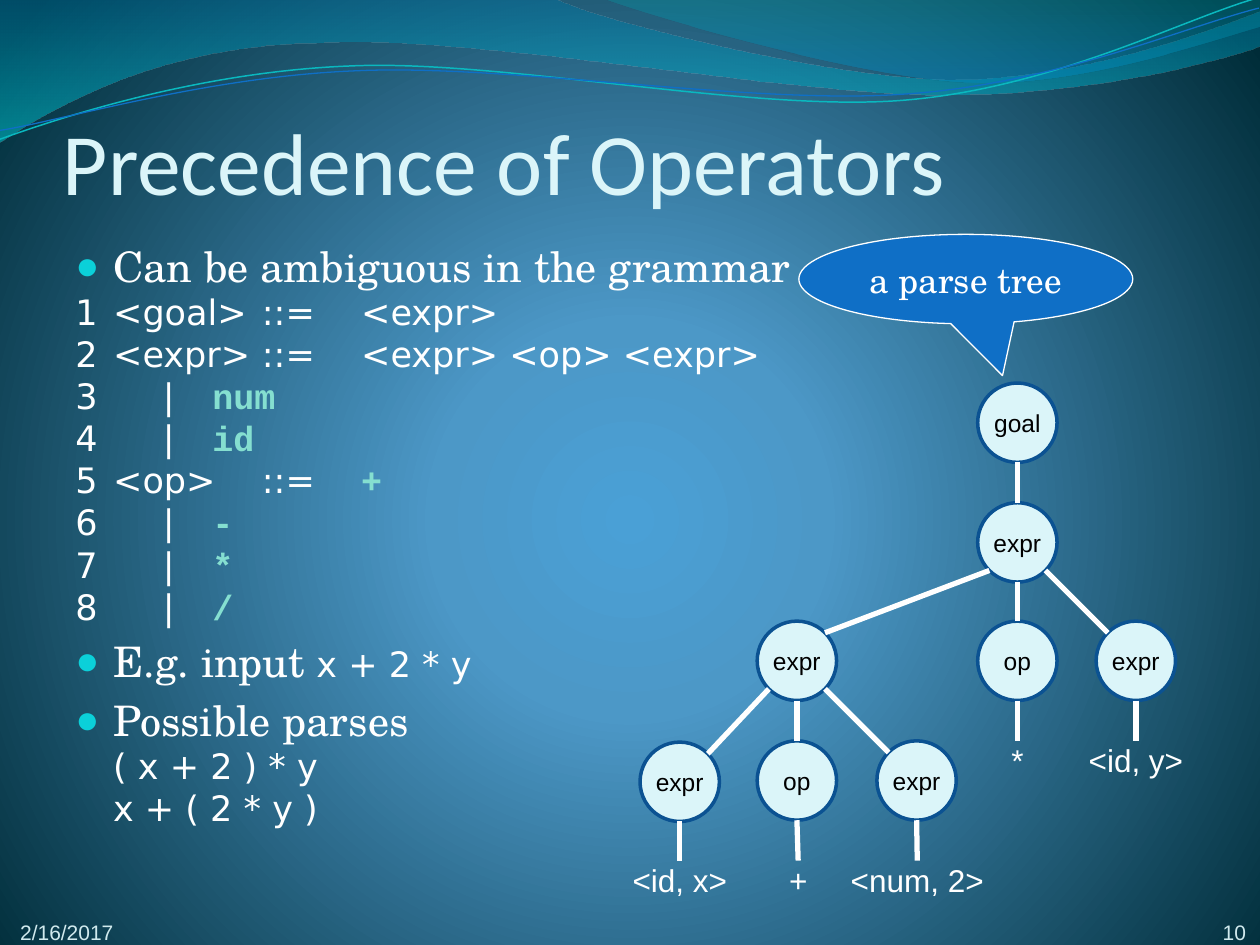
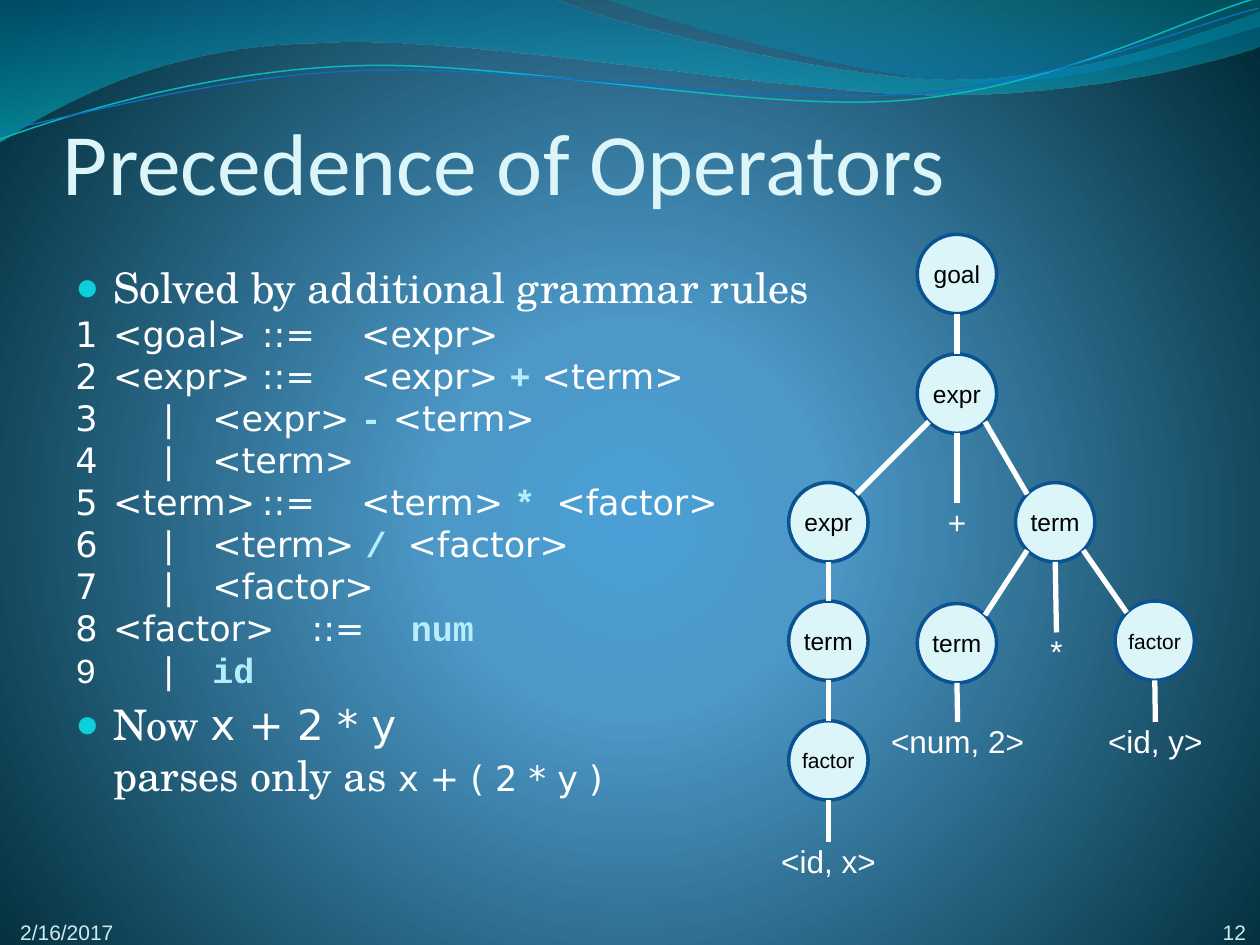
from dataclasses import dataclass, replace

from lxml import etree
from pptx import Presentation
from pptx import util as u
from pptx.dml.color import RGBColor
from pptx.enum import shapes, text
from pptx.oxml import parse_xml
from pptx.oxml.ns import nsdecls, qn

PX = 9144
WHITE, BLACK = "FFFFFF", "000000"
PALE, FOOTER = "DBF5F9", "D1EAEE"
BLUE, NAVY, CYAN = "0F6FC6", "0B5292", "0BD0D9"
HANG = 30
CIRCLE = 63


@dataclass(frozen=True)
class Style:
    font: str
    size: int
    color: str = WHITE
    bold: bool = False


@dataclass(frozen=True)
class Box:
    x: int
    y: int
    w: int
    h: int


@dataclass(frozen=True)
class Stop:
    pos: int
    color: str
    alpha: int = 100


@dataclass(frozen=True)
class Wave:
    start: tuple[int, int]
    segments: tuple[tuple[int, ...], ...]
    stops: tuple[Stop, ...] = ()
    stroke: str = ""
    weight: float = 0
    rotation: float = 0


@dataclass(frozen=True)
class Node:
    label: str
    x: int
    y: int
    children: tuple["Node", ...] = ()
    leaf_width: int = 79


@dataclass(frozen=True)
class Para:
    runs: tuple[tuple[str, Style], ...]
    bullet: bool = False


TITLE = Style("Calibri", 50, PALE)
PROSE = Style("TeX Gyre Schola", 24)
CODE = Style("DejaVu Sans", 20)
CODE_LARGE = replace(CODE, size=24)
MONO = Style("Courier New", 20)
GREEN_TOKEN = replace(MONO, color="85DFD0", bold=True)
BLUE_TOKEN = replace(MONO, color="B5EDFD", bold=True)
CALLOUT = replace(PROSE, size=20)
SMALL = Style("Arial", 12, FOOTER)
NODE = Style("Arial", 14, BLACK)
LEAF = Style("Arial", 18)

BACKDROP = (Stop(0, "4AA0D6"), Stop(25, "4C98C7"), Stop(100, "002C38"))
RADIAL = ('<a:path path="circle"><a:fillToRect l="10000" t="110000" '
          'r="10000" b="100000"/></a:path>')
DOWNWARD = '<a:lin ang="5400000" scaled="0"/>'

WAVES = (
    Wave((0, -1), ((440, -1), (476, 17, 664, 63, 758, 63),
                   (853, 63, 958, 26, 1000, 9), (1001, 36),
                   (983, 44, 870, 76, 746, 75), (622, 75, 382, 28, 257, 34),
                   (129, 35, 46, 83, -1, 113), (0, -1)),
         stops=(Stop(0, "0074A1", 45), Stop(100, "00C6CF", 55))),
    Wave((479, -1), ((509, 11, 682, 62, 769, 65), (856, 69, 961, 32, 1000, 21),
                     (1000, 0), (479, -1)),
         stops=(Stop(0, "00A1A9", 30), Stop(80, "008BBF", 45))),
    Wave((-2, 87), ((47, 72, 158, 41, 278, 42), (396, 42, 591, 93, 712, 90),
                    (832, 87, 940, 36, 1000, 22)),
         stroke="0AB8BF", weight=0.85, rotation=357.3),
    Wave((-2, 80), ((46, 75, 164, 45, 283, 46), (403, 46, 596, 88, 716, 85),
                    (835, 83, 942, 42, 1001, 30)),
         stroke=BLUE, weight=0.75, rotation=357.3),
)

AMBIGUOUS_TREE = Node("goal", 776, 304, (
    Node("expr", 776, 399, (
        Node("expr", 601, 493, (
            Node("expr", 508, 589, (Node("<id, x>", 500, 683),)),
            Node("op", 601, 588, (Node("+", 594, 683),)),
            Node("expr", 696, 588, (Node("<num, 2>", 673, 683, leaf_width=110),)),
        )),
        Node("op", 776, 493, (Node("*", 768, 588),)),
        Node("expr", 870, 493, (Node("<id, y>", 862, 588),)),
    )),
))

LAYERED_TREE = Node("goal", 728, 186, (
    Node("expr", 728, 281, (
        Node("expr", 626, 383, (
            Node("term", 626, 477, (
                Node("factor", 626, 572, (Node("<id, x>", 618, 668),)),
            )),
        )),
        Node("+", 720, 399),
        Node("term", 806, 383, (
            Node("term", 728, 479, (Node("<num, 2>", 705, 573, leaf_width=110),)),
            Node("*", 799, 502),
            Node("factor", 885, 477, (Node("<id, y>", 862, 573, leaf_width=110),)),
        )),
    )),
))


def bullet(*runs: tuple[str, Style]) -> Para:
    return Para(runs, bullet=True)


def rule(code: str, token: str = "", token_style: Style = GREEN_TOKEN,
         rest: str = "") -> Para:
    runs = ((code, CODE), (token, token_style), (rest, CODE))
    return Para(tuple(run for run in runs if run[0]))


AMBIGUOUS_TEXT = (
    bullet(("Can be ambiguous in the grammar", PROSE)),
    rule("1\t<goal>\t::=\t<expr>"),
    rule("2\t<expr>\t::=\t<expr> <op> <expr>"),
    rule("3\t\t|\t", "num"),
    rule("4\t\t|\t", "id"),
    rule("5\t<op>\t::=\t", "+"),
    *(rule(f"{n}\t\t|\t", op) for n, op in enumerate("-*/", 6)),
    bullet(("E.g. input ", PROSE), ("x + 2 * y", CODE)),
    bullet(("Possible parses\n", PROSE), ("( x + 2 ) * y\nx + ( 2 * y )", CODE)),
)

LAYERED_TEXT = (
    bullet(("Solved by additional grammar rules", PROSE)),
    rule("1\t<goal>\t::= \t<expr>"),
    rule("2\t<expr>\t::= \t<expr> ", "+", BLUE_TOKEN, " <term>"),
    rule("3\t\t|\t<expr> ", "-", BLUE_TOKEN, " <term>"),
    rule("4\t\t|\t<term>"),
    rule("5\t<term>\t::= \t<term> ", "* ", BLUE_TOKEN, "<factor>"),
    rule("6\t\t|\t<term> ", "/ ", BLUE_TOKEN, "<factor>"),
    rule("7\t\t|\t<factor>"),
    rule("8\t<factor>\t::= \t", "num", BLUE_TOKEN),
    Para((("9\t\t", MONO), ("|\t", CODE), ("id", BLUE_TOKEN))),
    bullet(("Now ", PROSE), ("x + 2 * y \n", CODE_LARGE),
           ("parses only as ", PROSE), ("x + ( 2 * y )", CODE)),
)


def px(n: float) -> u.Emu:
    return u.Emu(round(n * PX))


def rgb(value: str) -> RGBColor:
    return RGBColor.from_string(value)


def paint_gradient(fill, element, stops: tuple[Stop, ...], direction: str) -> None:
    fill.gradient()
    old = element.find(".//" + qn("a:gradFill"))
    marks = "".join(
        f'<a:gs pos="{s.pos * 1000}"><a:srgbClr val="{s.color}">'
        f'<a:alpha val="{s.alpha * 1000}"/></a:srgbClr></a:gs>' for s in stops)
    old.getparent().replace(old, parse_xml(
        f'<a:gradFill {nsdecls("a")} rotWithShape="1">'
        f'<a:gsLst>{marks}</a:gsLst>{direction}</a:gradFill>'))


def add_runs(p, runs: tuple[tuple[str, Style], ...]) -> None:
    for content, style in runs:
        for i, piece in enumerate(content.split("\n")):
            if i:
                p.add_line_break()
            if piece:
                r = p.add_run()
                r.text = piece
                r.font.name = style.font
                r.font.size = u.Pt(style.size)
                r.font.bold = style.bold
                r.font.color.rgb = rgb(style.color)


def set_frame(sp, anchor, insets: tuple[int, int, int, int] = (0, 0, 0, 0)):
    tf = sp.text_frame
    tf.word_wrap = True
    tf.vertical_anchor = anchor
    tf.margin_left, tf.margin_top, tf.margin_right, tf.margin_bottom = map(px, insets)
    return tf


def add_label(sp, content: str, style: Style, align=text.PP_ALIGN.CENTER,
              anchor=text.MSO_ANCHOR.MIDDLE, insets=(0, 0, 0, 0)) -> None:
    p = set_frame(sp, anchor, insets).paragraphs[0]
    p.alignment = align
    add_runs(p, ((content, style),))


def add_box(s, box: Box):
    return s.shapes.add_textbox(px(box.x), px(box.y), px(box.w), px(box.h))


def add_filled(s, kind, box: Box, fill: str, line: str, weight: float):
    sp = s.shapes.add_shape(kind, px(box.x), px(box.y), px(box.w), px(box.h))
    sp.shadow.inherit = False
    sp.fill.solid()
    sp.fill.fore_color.rgb = rgb(fill)
    sp.line.color.rgb = rgb(line)
    sp.line.width = u.Pt(weight)
    return sp


def bend_segments(sp, segments: tuple[tuple[int, ...], ...]) -> None:
    steps = iter(sp.element.findall(".//" + qn("a:lnTo")))
    for segment in segments:
        first = next(steps)
        if len(segment) == 6:
            first.tag = qn("a:cubicBezTo")
            for step in (next(steps), next(steps)):
                first.append(step[0])
                step.getparent().remove(step)


def add_wave(s, wave: Wave) -> None:
    points = [seg[i:i + 2] for seg in wave.segments for i in range(0, len(seg), 2)]
    builder = s.shapes.build_freeform(*wave.start, scale=PX)
    builder.add_line_segments(points, close=bool(wave.stops))
    sp = builder.convert_to_shape()
    bend_segments(sp, wave.segments)
    sp.rotation = wave.rotation
    sp.shadow.inherit = False
    if wave.stops:
        paint_gradient(sp.fill, sp.element, wave.stops, DOWNWARD)
        sp.line.fill.background()
    else:
        sp.fill.background()
        sp.line.color.rgb = rgb(wave.stroke)
        sp.line.width = u.Pt(wave.weight)


def add_body(s, top: int, paras: tuple[Para, ...]) -> None:
    tf = set_frame(add_box(s, Box(50, top, 927, 516)), text.MSO_ANCHOR.TOP, (10, 5, 10, 5))
    for i, para in enumerate(paras):
        p = tf.paragraphs[0] if i == 0 else tf.add_paragraph()
        add_runs(p, para.runs)
        pr = p._p.get_or_add_pPr()
        pr.set("marL", str(px(HANG)))
        pr.set("indent", str(px(-HANG)))
        pr.set("defTabSz", str(u.Cm(1)))
        if para.bullet:
            before = etree.SubElement(pr, qn("a:spcBef"))
            etree.SubElement(before, qn("a:spcPct"), val="20000")
            color = etree.SubElement(pr, qn("a:buClr"))
            etree.SubElement(color, qn("a:srgbClr"), val=CYAN)
            etree.SubElement(pr, qn("a:buSzPct"), val="95000")
            etree.SubElement(pr, qn("a:buFont"), typeface="Arial")
            etree.SubElement(pr, qn("a:buChar"), char="●")


def add_edge(s, parent: Node, child: Node, child_sp) -> None:
    half = CIRCLE / 2
    reach = half * 0.5 ** 0.5
    x1, y1 = parent.x + half, parent.y + half
    child_width = CIRCLE if child.children else child.leaf_width
    x2 = child.x + child_width / 2
    straight = abs(x2 - x1) < 10
    if straight:
        ends = (x1, y1 + half, x2, child.y)
    else:
        side = reach if x2 > x1 else -reach
        ends = (x1 + side, y1 + reach, x2 - side, child.y + half - reach)
    c = s.shapes.add_connector(shapes.MSO_CONNECTOR.STRAIGHT, *map(px, ends))
    if straight:
        c.end_connect(child_sp, 0)
    c.line.color.rgb = rgb(WHITE)
    c.line.width = u.Pt(3)
    etree.SubElement(c.element.spPr, qn("a:effectLst"))


def add_tree(s, node: Node):
    if node.children:
        sp = add_filled(s, shapes.MSO_SHAPE.OVAL, Box(node.x, node.y, CIRCLE, CIRCLE),
                        PALE, NAVY, 2)
        add_label(sp, node.label, replace(NODE, size=12 if len(node.label) > 4 else 14))
    else:
        sp = add_box(s, Box(node.x, node.y, node.leaf_width, 30))
        add_label(sp, node.label, LEAF, anchor=text.MSO_ANCHOR.TOP)
        sp.text_frame.auto_size = text.MSO_AUTO_SIZE.SHAPE_TO_FIT_TEXT
    for child in node.children:
        add_edge(s, node, child, add_tree(s, child))
    return sp


def add_slide(prs, number: int, body_top: int, paras: tuple[Para, ...]):
    s = prs.slides.add_slide(prs.slide_layouts[6])
    paint_gradient(s.background.fill, s.element, BACKDROP, RADIAL)
    for wave in WAVES:
        add_wave(s, wave)
    left, right, bottom = text.PP_ALIGN.LEFT, text.PP_ALIGN.RIGHT, text.MSO_ANCHOR.BOTTOM
    add_label(add_box(s, Box(50, 62, 927, 125)), "Precedence of Operators", TITLE,
              left, insets=(0, 5, 0, 0))
    add_body(s, body_top, paras)
    add_label(add_box(s, Box(16, 727, 148, 23)), "2/16/2017", SMALL, left, bottom)
    add_label(add_box(s, Box(906, 726, 83, 24)), str(number), SMALL, right, bottom)
    return s


def main() -> None:
    prs = Presentation()
    prs.slide_width, prs.slide_height = px(1000), px(750)
    s = add_slide(prs, 10, 186, AMBIGUOUS_TEXT)
    sp = add_filled(s, shapes.MSO_SHAPE.OVAL_CALLOUT, Box(634, 186, 265, 71),
                    BLUE, WHITE, 0.75)
    sp.adjustments[0], sp.adjustments[1] = 0.11, 1.08
    add_label(sp, "a parse tree", CALLOUT)
    add_tree(s, AMBIGUOUS_TREE)
    s = add_slide(prs, 12, 203, LAYERED_TEXT)
    add_tree(s, LAYERED_TREE)
    prs.save("out.pptx")


if __name__ == "__main__":
    main()
